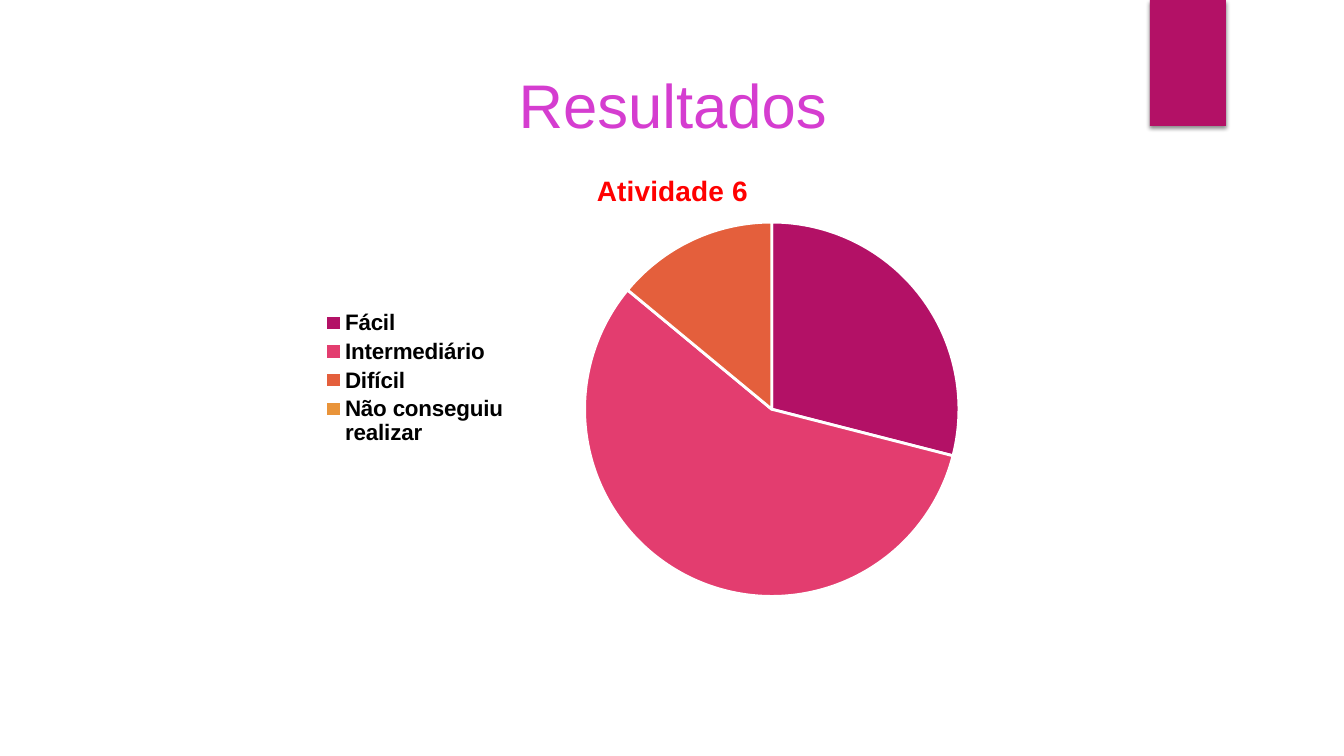
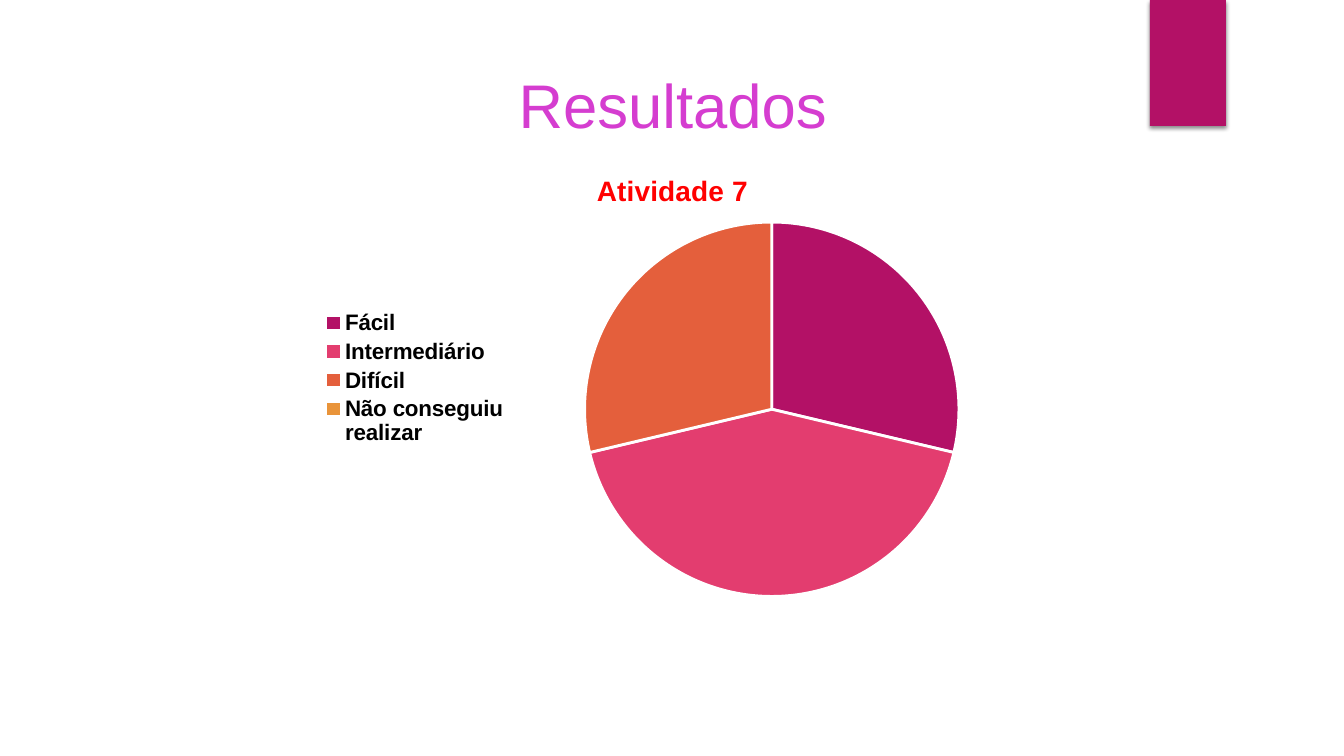
from pptx import Presentation
from pptx import util as u
from pptx.chart import data as chart_data
from pptx.dml.color import RGBColor
from pptx.enum import chart as chart_enum, shapes, text
from pptx.oxml import parse_xml
from pptx.oxml.ns import nsdecls, qn

PX = 914400 / 100.8
SLIDE_WIDTH, SLIDE_HEIGHT = 1344, 756

MAGENTA = RGBColor(0xB3, 0x11, 0x66)
PINK = RGBColor(0xE3, 0x3D, 0x6F)
ORANGE = RGBColor(0xE4, 0x5F, 0x3C)
AMBER = RGBColor(0xE9, 0x94, 0x3A)
ORCHID = RGBColor(0xD5, 0x3D, 0xD0)
RED = RGBColor(0xFF, 0x00, 0x00)
BLACK = RGBColor(0x00, 0x00, 0x00)
WHITE = RGBColor(0xFF, 0xFF, 0xFF)

LEVEL_COLOURS = {
    "Fácil": MAGENTA,
    "Intermediário": PINK,
    "Difícil": ORANGE,
    "Não conseguiu realizar": AMBER,
}
ACTIVITIES = {
    "Atividade 6": (29, 57, 14, 0),
    "Atividade 7": (29, 43, 29, 0),
}


def px(length):
    return u.Emu(round(length * PX))


def layout_xml(target=None, **fractions):
    """Return a manual chart layout, in fractions of the chart's size."""
    tags = [("layoutTarget", target)] if target else []
    tags += [("xMode", "edge"), ("yMode", "edge"), *fractions.items()]
    body = "".join(f'<c:{tag} val="{value}"/>' for tag, value in tags)
    return parse_xml(
        f'<c:layout {nsdecls("c")}><c:manualLayout>{body}</c:manualLayout></c:layout>'
    )


def place(parent, index, layout):
    """Give a chart part its layout in place of any it has."""
    for old_layout in parent.findall(qn("c:layout")):
        parent.remove(old_layout)
    parent.insert(index, layout)


class Deck:
    FONT = "Arial"
    CHART_FONT = "TeX Gyre Adventor"

    def __init__(self):
        self.presentation = Presentation()
        self.presentation.slide_width = px(SLIDE_WIDTH)
        self.presentation.slide_height = px(SLIDE_HEIGHT)
        self.slide = None

    def style(self, font, size, colour, bold=False, name=FONT):
        font.name = name
        font.size = u.Pt(size)
        font.bold = bold
        font.color.rgb = colour

    def add_slide(self, title):
        title_only = self.presentation.slide_layouts[5]
        self.slide = self.presentation.slides.add_slide(title_only)
        self.band(1150, 0, 76, 126)
        self.title(title, 198, 59, 950, 85)

    def band(self, *box):
        band = self.slide.shapes.add_shape(shapes.MSO_SHAPE.RECTANGLE, *map(px, box))
        band.fill.solid()
        band.fill.fore_color.rgb = MAGENTA
        band.line.fill.background()
        band.shadow.inherit = False
        effects = band.element.spPr.find(qn("a:effectLst"))
        effects.append(parse_xml(
            f'<a:outerShdw {nsdecls("a")} blurRad="{u.Pt(3)}" dist="{u.Pt(2)}" '
            'dir="5400000" algn="ctr" rotWithShape="0"><a:srgbClr val="000000">'
            '<a:alpha val="45000"/></a:srgbClr></a:outerShdw>'
        ))

    def title(self, words, *box):
        title = self.slide.shapes.title
        title.left, title.top, title.width, title.height = map(px, box)
        frame = title.text_frame
        frame.word_wrap = True
        frame.auto_size = text.MSO_AUTO_SIZE.NONE
        frame.vertical_anchor = text.MSO_ANCHOR.BOTTOM
        frame.margin_bottom = px(3)
        paragraph = frame.paragraphs[0]
        paragraph.alignment = text.PP_ALIGN.CENTER
        run = paragraph.add_run()
        run.text = words
        self.style(run.font, 44, ORCHID)

    def pie(self, heading, values, *box):
        data = chart_data.CategoryChartData()
        data.categories = list(LEVEL_COLOURS)
        data.add_series(heading, values)
        chart = self.slide.shapes.add_chart(
            chart_enum.XL_CHART_TYPE.PIE, *map(px, box), data
        ).chart
        self.style(chart.font, 10, BLACK, name=self.CHART_FONT)

        chart.has_title = True
        run = chart.chart_title.text_frame.paragraphs[0].add_run()
        run.text = heading
        self.style(run.font, 20, RED, bold=True)

        chart.has_legend = True
        chart.legend.position = chart_enum.XL_LEGEND_POSITION.LEFT
        chart.legend.include_in_layout = False
        self.style(chart.legend.font, 16, BLACK, bold=True)

        plot = chart.plots[0]
        plot.vary_by_categories = True
        for index, colour in enumerate(LEVEL_COLOURS.values()):
            point = plot.series[0].points[index].format
            point.fill.solid()
            point.fill.fore_color.rgb = colour
            point.line.color.rgb = WHITE
            point.line.width = u.Pt(2)

        chart_element = chart.element.find(qn("c:chart"))
        place(chart_element.find(qn("c:title")), 1, layout_xml(x=0.39, y=0.05))
        place(chart_element.find(qn("c:plotArea")), 0,
              layout_xml("inner", x=0.38, y=0.167, w=0.52, h=0.8))


def main():
    deck = Deck()
    for heading, values in ACTIVITIES.items():
        deck.add_slide("Resultados")
        deck.pie(heading, values, 311, 144, 720, 468)
    deck.presentation.save("out.pptx")


if __name__ == "__main__":
    main()
